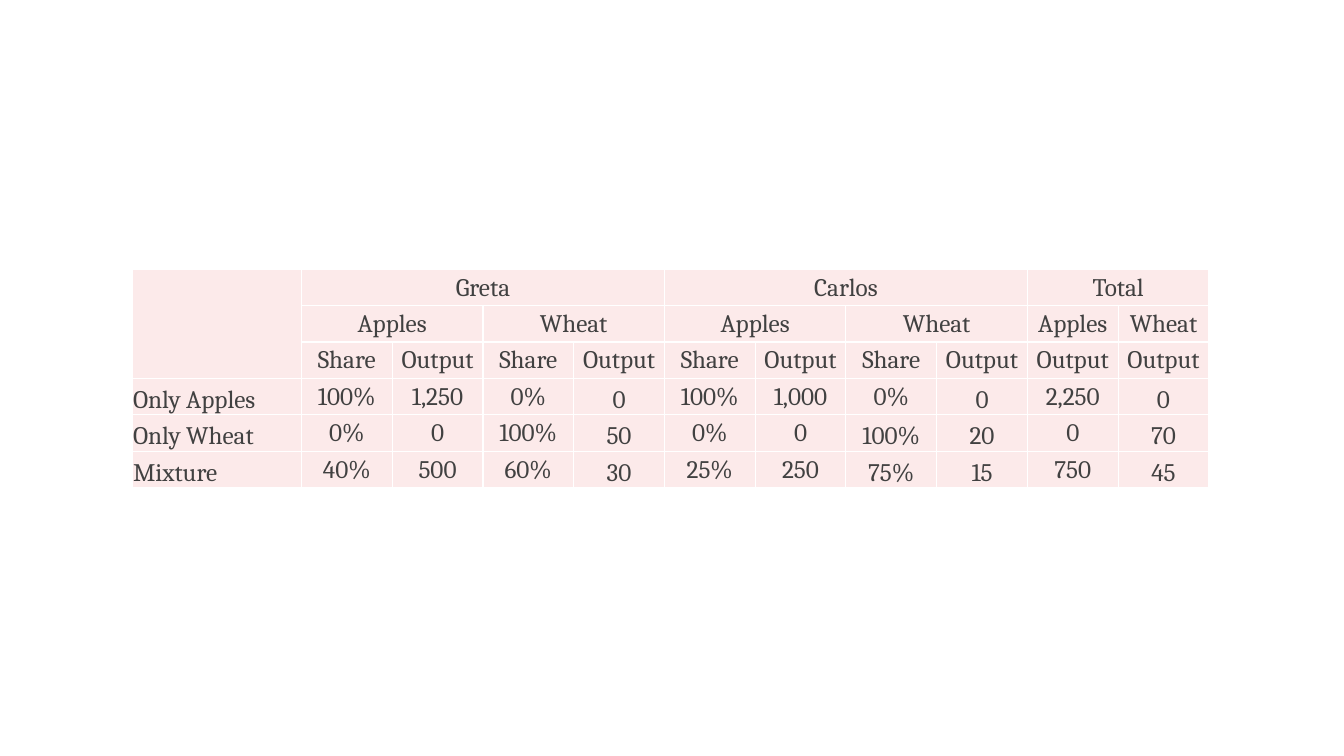
from dataclasses import dataclass

from lxml.etree import SubElement
from pptx import Presentation
from pptx.dml.color import RGBColor as RGB
from pptx.enum.text import MSO_ANCHOR as ANCHOR, PP_ALIGN as ALIGN
from pptx.oxml.ns import qn
from pptx.util import Inches, Pt


@dataclass(frozen=True)
class Theme:
    font: str = "Cambria"
    size: float = 18
    text: str = "414141"
    fill: str = "FCEAEA"
    border: str = "FFFFFF"
    border_width: float = 1
    inset: float = 0.01


THEME = Theme()
SLIDE_W, SLIDE_H = 13.33, 7.5
LEFT, TOP, HEIGHT = 1.31, 2.67, 2.17
LABEL_W, VALUE_W = 1.68, 0.9

HEADERS = [
    [("Greta", 4), ("Carlos", 4), ("Total", 2)],
    [("Apples", 2), ("Wheat", 2)] * 2 + [("Apples", 1), ("Wheat", 1)],
    [("Share", 1), ("Output", 1)] * 4 + [("Output", 1)] * 2,
]
PLANS = [
    ["Only Apples", "100%", "1,250", "0%", "0", "100%", "1,000", "0%", "0", "2,250", "0"],
    ["Only Wheat", "0%", "0", "100%", "50", "0%", "0", "100%", "20", "0", "70"],
    ["Mixture", "40%", "500", "60%", "30", "25%", "250", "75%", "15", "750", "45"],
]
BOTTOM_COLS = {0, 4, 8, 10}
BOTTOM_CELLS = {("Only Wheat", 7), ("Mixture", 7)}


def style_cell(cell):
    cell.margin_left = cell.margin_right = cell.margin_top = Inches(THEME.inset)
    cell.margin_bottom = 0
    tc_pr = cell._tc.get_or_add_tcPr()
    for side in ("lnL", "lnR", "lnT", "lnB"):
        line = SubElement(tc_pr, qn(f"a:{side}"), w=str(Pt(THEME.border_width)))
        SubElement(SubElement(line, qn("a:solidFill")), qn("a:srgbClr"), val=THEME.border)
    cell.fill.solid()
    cell.fill.fore_color.rgb = RGB.from_string(THEME.fill)


def write_cell(cell, text, align=ALIGN.CENTER, anchor=ANCHOR.MIDDLE):
    cell.vertical_anchor = anchor
    p = cell.text_frame.paragraphs[0]
    p.alignment = align
    r = p.add_run()
    r.text = text
    r.font.name = THEME.font
    r.font.size = Pt(THEME.size)
    r.font.color.rgb = RGB.from_string(THEME.text)


def add_grid(s, rows, cols):
    width = LABEL_W + VALUE_W * (cols - 1)
    table = s.shapes.add_table(
        rows, cols, Inches(LEFT), Inches(TOP), Inches(width), Inches(HEIGHT)
    ).table
    table.first_row = table.horz_banding = False
    for i, col in enumerate(table.columns):
        col.width = Inches(VALUE_W if i else LABEL_W)
    for cell in table.iter_cells():
        style_cell(cell)
    return table


def fill_headers(table):
    table.cell(0, 0).merge(table.cell(len(HEADERS) - 1, 0))
    for row, groups in enumerate(HEADERS):
        col = 1
        for text, span in groups:
            cell = table.cell(row, col)
            if span > 1:
                cell.merge(table.cell(row, col + span - 1))
            write_cell(cell, text)
            col += span


def fill_plans(table):
    for row, values in enumerate(PLANS, len(HEADERS)):
        for col, text in enumerate(values):
            low = col in BOTTOM_COLS or (values[0], col) in BOTTOM_CELLS
            write_cell(
                table.cell(row, col),
                text,
                align=ALIGN.CENTER if col else ALIGN.LEFT,
                anchor=ANCHOR.BOTTOM if low else ANCHOR.MIDDLE,
            )


def main():
    prs = Presentation()
    prs.slide_width, prs.slide_height = Inches(SLIDE_W), Inches(SLIDE_H)
    s = prs.slides.add_slide(prs.slide_layouts[6])
    table = add_grid(s, len(HEADERS) + len(PLANS), len(PLANS[0]))
    fill_headers(table)
    fill_plans(table)
    prs.save("out.pptx")


main()
